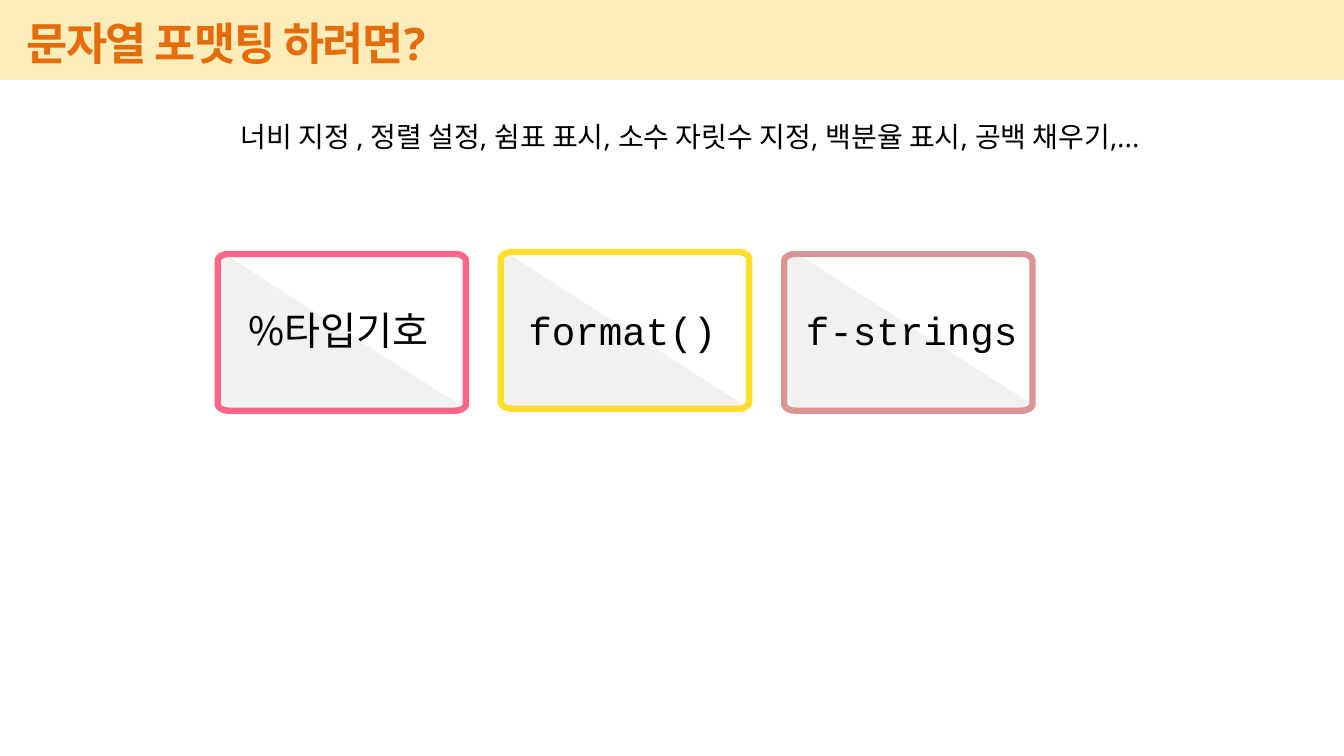
from dataclasses import dataclass

from lxml import etree
from pptx import Presentation
from pptx.dml.color import RGBColor
from pptx.enum.shapes import MSO_SHAPE
from pptx.enum.text import MSO_ANCHOR, MSO_AUTO_SIZE, PP_ALIGN
from pptx.oxml.ns import qn
from pptx.shapes.autoshape import Shape
from pptx.slide import Slide
from pptx.text.text import TextFrame
from pptx.util import Pt

RECTANGLE = MSO_SHAPE.RECTANGLE
MIDDLE, TOP = MSO_ANCHOR.MIDDLE, MSO_ANCHOR.TOP
LEFT, CENTER = PP_ALIGN.LEFT, PP_ALIGN.CENTER
NO_AUTOFIT = MSO_AUTO_SIZE.NONE

COLORS = {
    "band": "FABE00",
    "title": "E46C0A",
    "text": "000000",
    "panel": "FFFFFF",
    "wedge": "F1F1F1",
    "pink": "FD6787",
    "yellow": "FFDE2C",
    "rose": "D99694",
}
SANS, MONO, KOREAN = "Open Sans", "Courier New", "Noto Sans CJK KR"
SLIDE_WIDTH, SLIDE_HEIGHT = 960, 540
PANEL_TOP, PANEL_WIDTH, PANEL_HEIGHT = 179.3, 176.4, 113.2
FRAME_WIDTH, FRAME_HEIGHT, FRAME_LINE = 177.3, 112, 4.56
CORNER = [(8, 0), (5, 0.3), (2.2, 1.5), (0.7, 2.9), (0, 4.3)]

Points = list[tuple[float, float]]


@dataclass
class Card:
    label: str
    font: str
    color: str
    panel_left: float
    frame_left: float
    frame_top: float


CARDS = [
    Card("f-strings", MONO, "rose", 563, 560.2, 181.4),
    Card("format()", MONO, "yellow", 356.4, 357.8, 180),
    Card("%타입기호", KOREAN, "pink", 153.4, 155.5, 181.4),
]


def color(name: str) -> RGBColor:
    return RGBColor.from_string(COLORS[name])


def write(frame: TextFrame, text: str, size: float, font: str, color_name: str,
          alignment: PP_ALIGN, anchor: MSO_ANCHOR, bold: bool = False):
    frame.word_wrap = True
    frame.auto_size = NO_AUTOFIT
    frame.vertical_anchor = anchor
    paragraph = frame.paragraphs[0]
    paragraph.alignment = alignment
    run = paragraph.add_run()
    run.text = text
    run.font.size = Pt(size)
    run.font.name = font
    run.font.bold = bold
    run.font.color.rgb = color(color_name)
    east_asian = etree.Element(qn("a:ea"), typeface=KOREAN)
    run.font._element.find(qn("a:latin")).addnext(east_asian)
    return paragraph


def place(shape: Shape, left: float, top: float, width: float, height: float) -> None:
    shape.left, shape.top = Pt(left), Pt(top)
    shape.width, shape.height = Pt(width), Pt(height)


def rounded_outline(width: float, height: float) -> Points:
    top_left = CORNER
    bottom_left = [(x, height - y) for x, y in reversed(CORNER)]
    left_side = top_left + bottom_left
    return left_side + [(width - x, y) for x, y in reversed(left_side)]


def wedge_outline(width: float, height: float) -> Points:
    return [(3.6, 0), (1.4, 2.9), (0, 6.5), (0, height - 11.5), (0.7, height - 7.2),
            (2.2, height - 3.6), (5, height - 1), (7.9, height),
            (width - 4.3, height), (width, height - 2.2)]


def add_outline(slide: Slide, points: Points, left: float, top: float,
                fill: str = "", line: str = "") -> Shape:
    corners = [(Pt(left + x), Pt(top + y)) for x, y in points]
    builder = slide.shapes.build_freeform(*corners[0])
    builder.add_line_segments(corners[1:], close=True)
    shape = builder.convert_to_shape()
    shape.shadow.inherit = False
    if fill:
        shape.fill.solid()
        shape.fill.fore_color.rgb = color(fill)
    else:
        shape.fill.background()
    if line:
        shape.line.color.rgb = color(line)
        shape.line.width = Pt(FRAME_LINE)
    else:
        shape.line.fill.background()
    return shape


def add_card(slide: Slide, card: Card) -> None:
    panel = rounded_outline(PANEL_WIDTH, PANEL_HEIGHT)
    add_outline(slide, panel, card.panel_left, PANEL_TOP, fill="panel")
    wedge = add_outline(slide, wedge_outline(PANEL_WIDTH, PANEL_HEIGHT),
                        card.panel_left, PANEL_TOP, fill="wedge")
    frame = wedge.text_frame
    frame.margin_left = frame.margin_right = frame.margin_top = frame.margin_bottom = 0
    write(frame, card.label, 28, card.font, "text", CENTER, MIDDLE)
    border = rounded_outline(FRAME_WIDTH, FRAME_HEIGHT)
    add_outline(slide, border, card.frame_left, card.frame_top, line=card.color)


def add_band(slide: Slide) -> None:
    band = slide.shapes.add_shape(RECTANGLE, 0, 0, Pt(SLIDE_WIDTH), Pt(57))
    band.shadow.inherit = False
    band.fill.solid()
    band.fill.fore_color.rgb = color("band")
    band.line.fill.background()
    fill_color = band._element.spPr.find(qn("a:solidFill")).find(qn("a:srgbClr"))
    etree.SubElement(fill_color, qn("a:alpha"), val="27000")
    slide.shapes._spTree.insert(2, band._element)


def add_title(slide: Slide) -> None:
    title = slide.shapes.title
    place(title, 11.5, 4.3, 817, 52.6)
    paragraph = write(title.text_frame, "문자열 포맷팅 하려면?", 32, SANS, "title",
                      LEFT, MIDDLE, bold=True)
    paragraph.runs[0].font._element.set("spc", "-100")


def add_topics(slide: Slide) -> None:
    body = slide.placeholders[1]
    place(body, 61.2, 81.4, 836.6, 30.2)
    topics = "너비 지정 , 정렬 설정, 쉼표 표시, 소수 자릿수 지정, 백분율 표시, 공백 채우기,..."
    paragraph = write(body.text_frame, topics, 20, SANS, "text", CENTER, TOP)
    properties = paragraph._p.get_or_add_pPr()
    properties.set("marL", str(Pt(27)))
    properties.set("indent", "0")
    etree.SubElement(properties, qn("a:buNone"))


presentation = Presentation()
presentation.slide_width = Pt(SLIDE_WIDTH)
presentation.slide_height = Pt(SLIDE_HEIGHT)
slide = presentation.slides.add_slide(presentation.slide_layouts[1])
add_band(slide)
add_title(slide)
add_topics(slide)
for card in CARDS:
    add_card(slide, card)
presentation.save("out.pptx")
